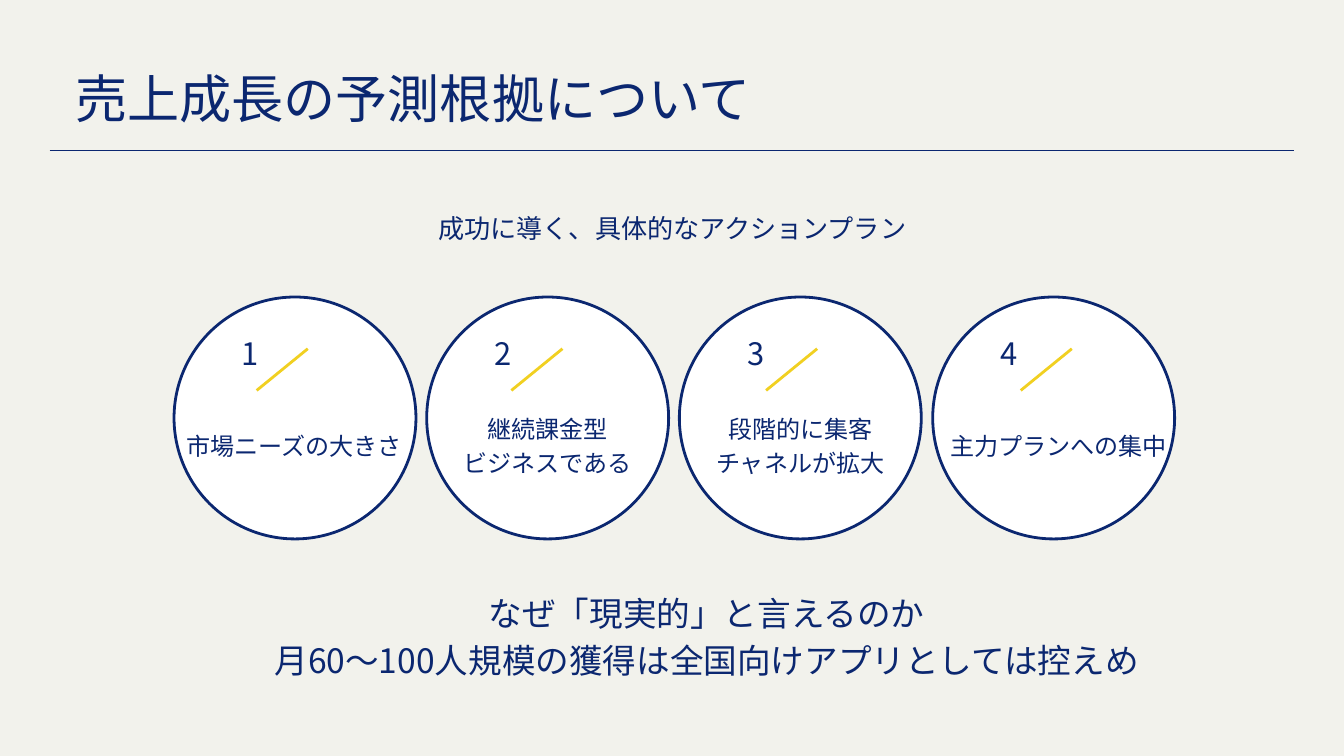
from lxml import etree
from pptx import Presentation
from pptx.dml.color import RGBColor
from pptx.enum.shapes import MSO_CONNECTOR, MSO_SHAPE
from pptx.enum.text import MSO_ANCHOR, MSO_AUTO_SIZE, PP_ALIGN
from pptx.oxml.ns import qn
from pptx.util import Pt

PX = 9144
NAVY = RGBColor(0x0B, 0x27, 0x70)
YELLOW = RGBColor(0xF1, 0xD0, 0x21)
WHITE = RGBColor(0xFF, 0xFF, 0xFF)
CREAM = RGBColor(0xF2, 0xF2, 0xEC)
FONT = "Noto Sans CJK JP"
LEFT, CENTER = PP_ALIGN.LEFT, PP_ALIGN.CENTER
TOP = MSO_ANCHOR.TOP
NO_AUTOFIT = MSO_AUTO_SIZE.NONE
STRAIGHT = MSO_CONNECTOR.STRAIGHT
OVAL = MSO_SHAPE.OVAL

presentation = Presentation()
presentation.slide_width = 2000 * PX
presentation.slide_height = 1125 * PX
slide = presentation.slides.add_slide(presentation.slide_layouts[5])
slide.background.fill.solid()
slide.background.fill.fore_color.rgb = CREAM


def write_text(text, *, box, size, spacing, align=CENTER, shape=None):
    left, top, width, height = (value * PX for value in box)
    if shape is None:
        shape = slide.shapes.add_textbox(left, top, width, height)
    else:
        shape.left, shape.top, shape.width, shape.height = left, top, width, height
    frame = shape.text_frame
    frame.margin_left = frame.margin_right = frame.margin_top = frame.margin_bottom = 0
    frame.word_wrap = True
    frame.auto_size = NO_AUTOFIT
    frame.vertical_anchor = TOP
    for index, line in enumerate(text.split("\n")):
        paragraph = frame.add_paragraph() if index else frame.paragraphs[0]
        paragraph.alignment = align
        paragraph.line_spacing = Pt(spacing)
        run = paragraph.add_run()
        run.text = line
        run.font.size = Pt(size)
        run.font.name = FONT
        run.font.color.rgb = NAVY
        east_asian = etree.SubElement(run._r.get_or_add_rPr(), qn("a:ea"))
        east_asian.set("typeface", FONT)


def draw_line(start, end, *, color, width):
    connector = slide.shapes.add_connector(
        STRAIGHT, *(value * PX for value in (*start, *end)))
    connector.line.color.rgb = color
    connector.line.width = Pt(width)
    etree.SubElement(connector._element.spPr, qn("a:effectLst"))


write_text("売上成長の予測根拠について", shape=slide.shapes.title,
           box=(112, 83, 1119, 106), size=55.8, spacing=78.1, align=LEFT)
draw_line((74, 224), (1926, 224), color=NAVY, width=1.5)
write_text("成功に導く、具体的なアクションプラン",
           box=(302, 309, 1397, 54), size=28, spacing=39.2)

reasons = [
    ("市場ニーズの大きさ", 6),
    ("継続課金型\nビジネスである", 7),
    ("段階的に集客\nチャネルが拡大", 7),
    ("主力プランへの集中", 14),
]
for index, (label, label_offset) in enumerate(reasons):
    left = 259 + 1129 * index // 3
    circle = slide.shapes.add_shape(OVAL, left * PX, 442 * PX, 360 * PX, 360 * PX)
    circle.shadow.inherit = False
    circle.fill.solid()
    circle.fill.fore_color.rgb = WHITE
    circle.line.color.rgb = NAVY
    circle.line.width = Pt(3)

    write_text(str(index + 1), box=(left + 27, 488, 173, 63), size=33.1, spacing=46.4)
    slash_left = 382 + 379 * index
    draw_line((slash_left, 581), (slash_left + 76, 519), color=YELLOW, width=3)

    extra_lines = label.count("\n")
    write_text(label, box=(left + label_offset, 635 - 25 * extra_lines,
                           346, 49 + 50 * extra_lines), size=25.8, spacing=36.1)

write_text("なぜ「現実的」と言えるのか\n月60～100人規模の獲得は全国向けアプリとしては控えめ",
           box=(302, 872, 1499, 203), size=36, spacing=50.4)

presentation.save("out.pptx")
